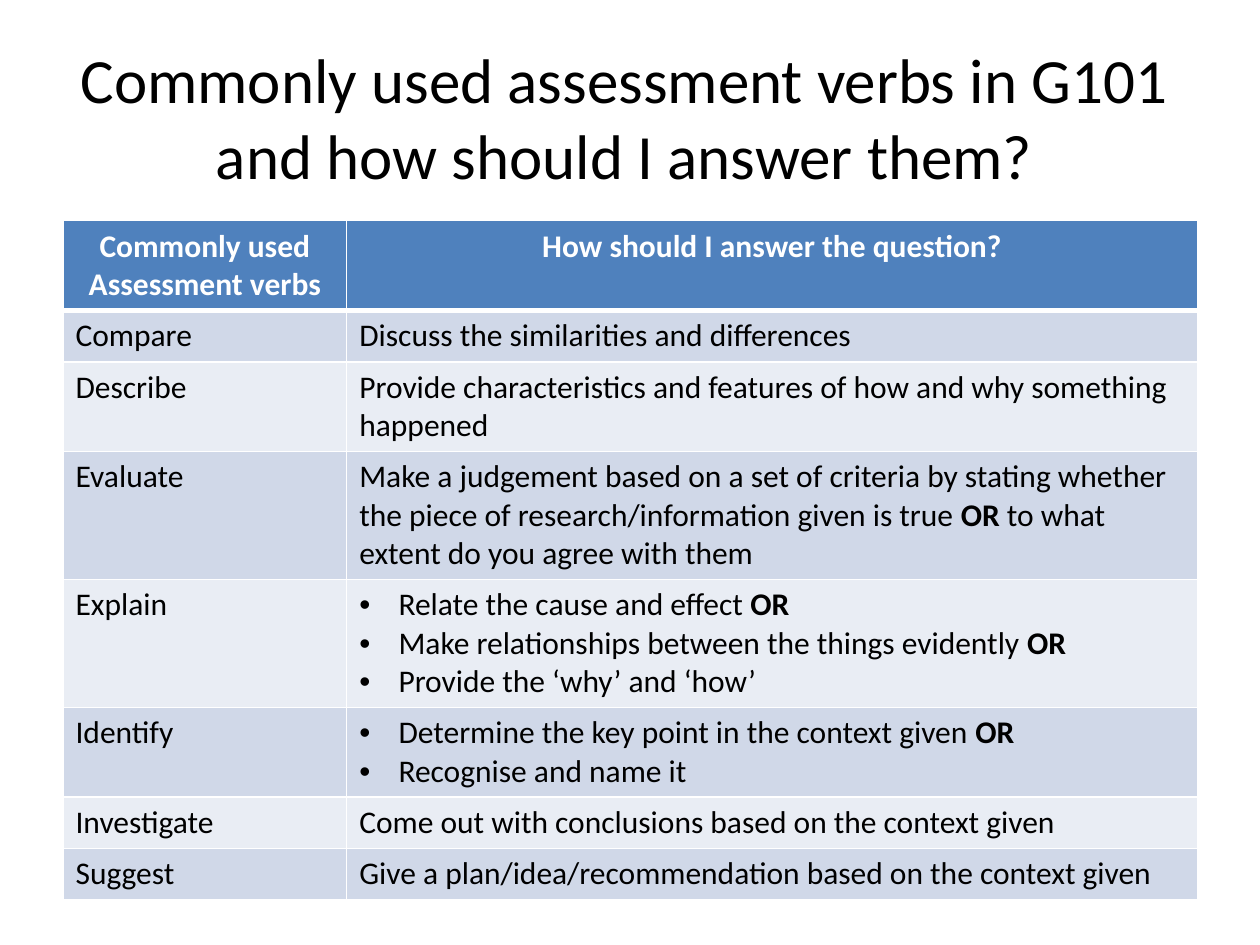
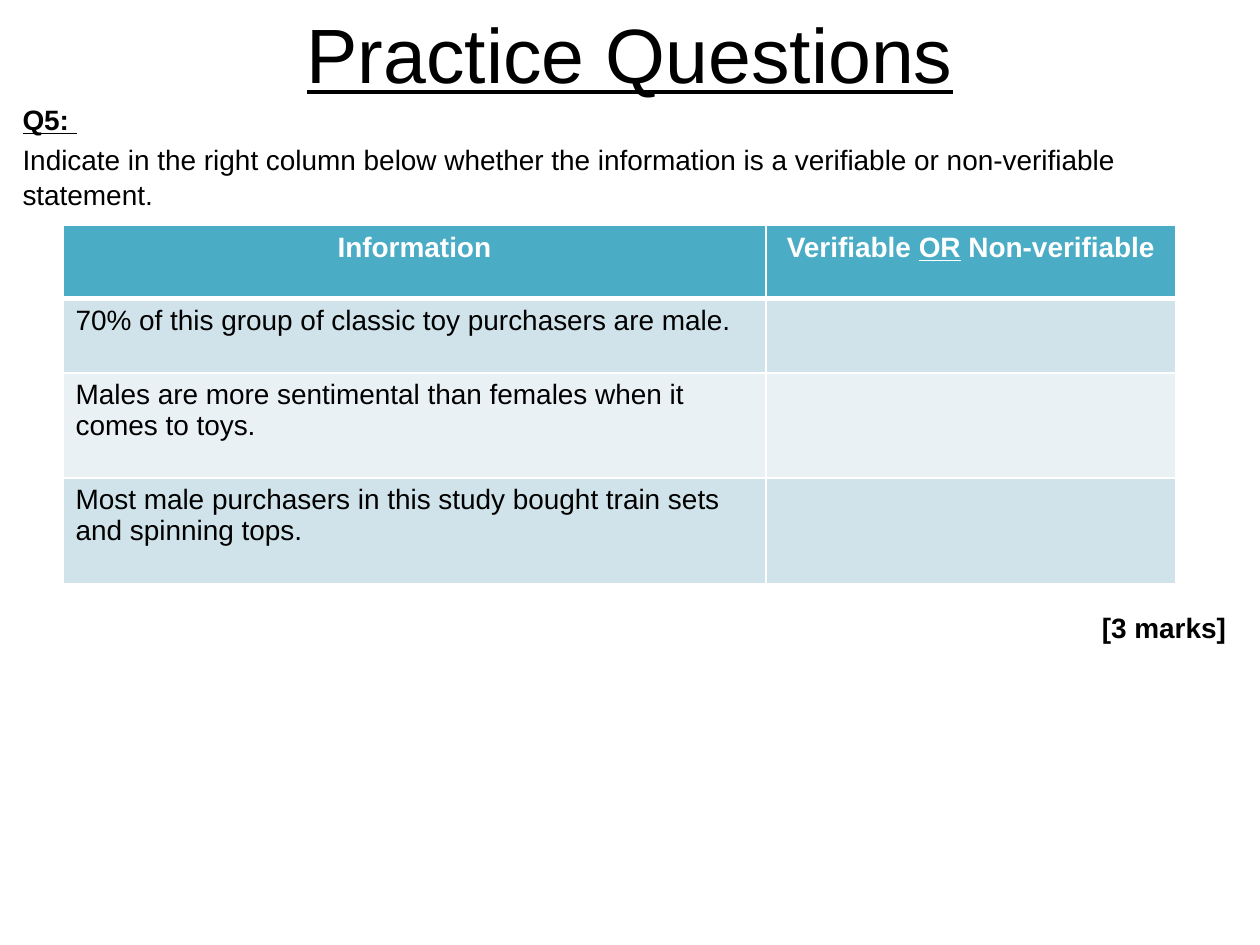
from dataclasses import dataclass

from lxml import etree
from pptx import Presentation
from pptx.dml.color import RGBColor
from pptx.enum.text import MSO_ANCHOR, MSO_AUTO_SIZE, PP_ALIGN
from pptx.oxml.ns import qn
from pptx.util import Cm, Pt

MIDDLE = MSO_ANCHOR.MIDDLE
NO_FIT = MSO_AUTO_SIZE.NONE
LEFT, CENTER, RIGHT = PP_ALIGN.LEFT, PP_ALIGN.CENTER, PP_ALIGN.RIGHT
CONTENT_LAYOUT, TITLE_ONLY_LAYOUT = 1, 5

COLORS = {
    "text": "000000",
    "white": "FFFFFF",
    "blue": "4F81BD",
    "blue_dark_band": "D0D8E8",
    "blue_light_band": "E9EDF4",
    "teal": "4BACC6",
    "teal_dark_band": "D0E3EA",
    "teal_light_band": "E9F1F5",
}
KEYWORD = "OR"
BULLET_INDENT = Cm(0.79)


@dataclass(frozen=True)
class Box:
    left: float
    top: float
    width: float
    height: float


@dataclass(frozen=True)
class TextStyle:
    font: str
    size: int
    color: str = "text"
    bold: bool = False
    underline: bool = False
    align: PP_ALIGN = LEFT


@dataclass(frozen=True)
class TableDesign:
    left: float
    top: float
    columns: tuple[float, ...]
    rows: tuple[float, ...]
    palette: str
    font: str
    size: int


VERBS_TITLE = "Commonly used assessment verbs in G101\vand how should I answer them?"
VERBS_DESIGN = TableDesign(
    1.27, 4.45, (5.72, 17.15),
    (1.78, 1.04, 1.8, 2.58, 2.58, 1.8, 1.04, 1.04), "blue", "Calibri", 18,
)
VERBS = [
    ("Commonly used Assessment verbs", "How should I answer the question?"),
    ("Compare", "Discuss the similarities and differences"),
    ("Describe", "Provide characteristics and features of how and why something happened"),
    ("Evaluate", "Make a judgement based on a set of criteria by stating whether the piece of "
     "research/information given is true OR to what extent do you agree with them"),
    ("Explain", ("Relate the cause and effect OR",
                 "Make relationships between the things evidently OR",
                 "Provide the ‘why’ and ‘how’")),
    ("Identify", ("Determine the key point in the context given OR", "Recognise and name it")),
    ("Investigate", "Come out with conclusions based on the context given"),
    ("Suggest", "Give a plan/idea/recommendation based on the context given"),
]

STATEMENTS_DESIGN = TableDesign(
    1.27, 4.55, (14.17, 8.26), (1.47, 1.5, 2.12, 2.12), "teal", "Arial", 16,
)
STATEMENTS = [
    ("Information", "Verifiable OR Non-verifiable"),
    ("70% of this group of classic toy purchasers are male.", ""),
    ("Males are more sentimental than females when it comes to toys.", ""),
    ("Most male purchasers in this study bought train sets and spinning tops.", ""),
]
QUESTION = [
    ("Q5: ", TextStyle("Arial", 16, bold=True, underline=True), 0),
    ("Indicate in the right column below whether the information is a verifiable "
     "or non-verifiable statement.", TextStyle("Arial", 16), 3),
    ("[3 marks]", TextStyle("Arial", 16, bold=True, align=RIGHT), 227),
]


def rgb(name: str) -> RGBColor:
    return RGBColor.from_string(COLORS[name])


def format_paragraph(paragraph, style: TextStyle) -> None:
    paragraph.alignment = style.align
    for run in paragraph.runs:
        run.font.name = style.font
        run.font.size = Pt(style.size)
        run.font.bold = style.bold
        run.font.underline = style.underline
        run.font.color.rgb = rgb(style.color)


def set_bullet(paragraph, symbol: str = "") -> None:
    properties = paragraph._p.get_or_add_pPr()
    indent = BULLET_INDENT if symbol else 0
    properties.set("marL", str(indent))
    properties.set("indent", str(-indent))
    if symbol:
        etree.SubElement(properties, qn("a:buFont"), typeface="Arial")
        etree.SubElement(properties, qn("a:buChar"), char=symbol)
    else:
        etree.SubElement(properties, qn("a:buNone"))


def place(shape, box: Box) -> None:
    shape.left, shape.top = Cm(box.left), Cm(box.top)
    shape.width, shape.height = Cm(box.width), Cm(box.height)
    shape.text_frame.word_wrap = True
    shape.text_frame.auto_size = NO_FIT


def write_title(slide, text: str, box: Box, style: TextStyle) -> None:
    title = slide.shapes.title
    place(title, box)
    title.text_frame.vertical_anchor = MIDDLE
    title.text_frame.text = text
    format_paragraph(title.text_frame.paragraphs[0], style)


def set_borders(cell, is_header: bool, below_header: bool) -> None:
    widths = {
        "a:lnL": 1,
        "a:lnR": 1,
        "a:lnT": 3 if below_header else 1,
        "a:lnB": 3 if is_header else 1,
    }
    properties = cell._tc.get_or_add_tcPr()
    for position, (side, width) in enumerate(widths.items()):
        line = etree.Element(qn(side), w=str(Pt(width)))
        fill = etree.SubElement(line, qn("a:solidFill"))
        etree.SubElement(fill, qn("a:srgbClr"), val=COLORS["white"])
        properties.insert(position, line)


def write_cell(cell, content: str | tuple[str, ...], style: TextStyle) -> None:
    is_list = isinstance(content, tuple)
    lines = content if is_list else (content,)
    cell.text_frame.text = "\n".join(lines)
    for paragraph, line in zip(cell.text_frame.paragraphs, lines):
        if KEYWORD in line:
            paragraph.text = ""
            for part in filter(None, line.partition(KEYWORD)):
                paragraph.add_run().text = part
        format_paragraph(paragraph, style)
        for run in paragraph.runs:
            if run.text == KEYWORD:
                run.font.underline = style.bold
                run.font.bold = True
        if is_list:
            set_bullet(paragraph, "•")


def draw_table(slide, design: TableDesign, content: list[tuple]) -> None:
    table = slide.shapes.add_table(
        len(design.rows), len(design.columns), Cm(design.left), Cm(design.top),
        Cm(sum(design.columns)), Cm(sum(design.rows)),
    ).table
    for column, width in zip(table.columns, design.columns):
        column.width = Cm(width)
    for row, height in zip(table.rows, design.rows):
        row.height = Cm(height)

    header = TextStyle(design.font, design.size, "white", bold=True, align=CENTER)
    body = TextStyle(design.font, design.size)
    bands = (f"{design.palette}_light_band", f"{design.palette}_dark_band")
    for row_index, row in enumerate(content):
        is_header = row_index == 0
        for column_index, entry in enumerate(row):
            cell = table.cell(row_index, column_index)
            cell.fill.solid()
            cell.fill.fore_color.rgb = rgb(design.palette if is_header else bands[row_index % 2])
            set_borders(cell, is_header, row_index == 1)
            write_cell(cell, entry, header if is_header else body)


def build_verbs_slide(deck) -> None:
    slide = deck.slides.add_slide(deck.slide_layouts[TITLE_ONLY_LAYOUT])
    write_title(slide, VERBS_TITLE, Box(0.2, 0.76, 24.77, 3.18),
                TextStyle("Calibri", 36, align=CENTER))
    draw_table(slide, VERBS_DESIGN, VERBS)


def build_practice_slide(deck) -> None:
    slide = deck.slides.add_slide(deck.slide_layouts[CONTENT_LAYOUT])
    write_title(slide, "Practice Questions", Box(1.27, -0.53, 22.86, 3.18),
                TextStyle("Arial", 44, underline=True, align=CENTER))
    question = slide.placeholders[1]
    place(question, Box(0.2, 1.9, 24.77, 17.15))
    question.text_frame.text = "\n".join(text for text, _, _ in QUESTION)
    for paragraph, (_, style, gap) in zip(question.text_frame.paragraphs, QUESTION):
        format_paragraph(paragraph, style)
        paragraph.line_spacing = 1.05
        paragraph.space_before = Pt(gap)
        set_bullet(paragraph)
    draw_table(slide, STATEMENTS_DESIGN, STATEMENTS)


def main() -> None:
    deck = Presentation()
    deck.slide_width, deck.slide_height = Cm(25.4), Cm(19.05)
    build_verbs_slide(deck)
    build_practice_slide(deck)
    deck.save("out.pptx")


if __name__ == "__main__":
    main()
